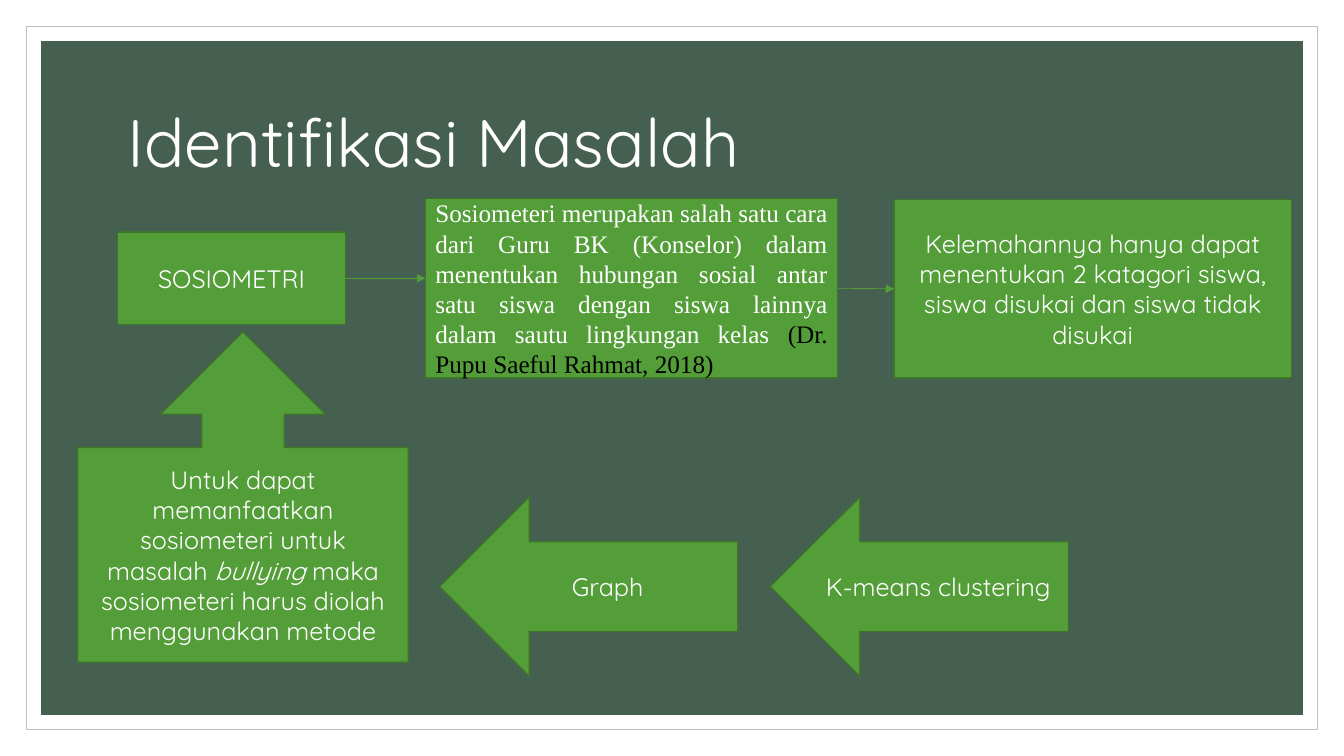
from lxml import etree
from pptx import Presentation
from pptx.dml.color import RGBColor
from pptx.enum.shapes import MSO_CONNECTOR, MSO_SHAPE
from pptx.enum.text import MSO_ANCHOR, MSO_AUTO_SIZE, PP_ALIGN
from pptx.oxml.ns import qn
from pptx.util import Inches, Pt

RECTANGLE = MSO_SHAPE.RECTANGLE
PROCESS = MSO_SHAPE.FLOWCHART_PROCESS
LEFT_ARROW = MSO_SHAPE.LEFT_ARROW
UP_CALLOUT = MSO_SHAPE.UP_ARROW_CALLOUT
STRAIGHT = MSO_CONNECTOR.STRAIGHT
LEFT, CENTER, JUSTIFY = PP_ALIGN.LEFT, PP_ALIGN.CENTER, PP_ALIGN.JUSTIFY
MIDDLE = MSO_ANCHOR.MIDDLE
NO_AUTOFIT = MSO_AUTO_SIZE.NONE
LEFT_SIDE, RIGHT_SIDE = 1, 3

WHITE = RGBColor(0xFF, 0xFF, 0xFF)
BLACK = RGBColor(0x00, 0x00, 0x00)
GRAY = RGBColor(0xBF, 0xBF, 0xBF)
FOREST = RGBColor(0x45, 0x5F, 0x51)
GREEN = RGBColor(0x54, 0x9E, 0x39)
DARK_GREEN = RGBColor(0x3E, 0x75, 0x2A)

SANS, SERIF = "Quicksand", "Times New Roman"
SLIDE_WIDTH, SLIDE_HEIGHT = Inches(13.33), Inches(7.5)
COLUMNS, ROWS = 80, 45
ARROW_COLUMN, ARROW_STEP = 26.16, 19.68


def across(columns):
    """Turn grid columns into a length."""
    return round(SLIDE_WIDTH * columns / COLUMNS)


def down(rows):
    """Turn grid rows into a length."""
    return round(SLIDE_HEIGHT * rows / ROWS)


def place(area):
    """Turn a grid area (column, row, width, height) into lengths."""
    column, row, width, height = area
    return across(column), down(row), across(width), down(height)


def style_span(span, size, font=SANS, color=WHITE):
    """Set the font of one run."""
    span.font.size = Pt(size)
    span.font.name = font
    span.font.color.rgb = color


def add_box(page, kind, area, fill, line=None, line_width=1):
    """Add a flat preset shape."""
    box = page.shapes.add_shape(kind, *place(area))
    box.shadow.inherit = False
    box.fill.solid()
    box.fill.fore_color.rgb = fill
    if line is None:
        box.line.fill.background()
    else:
        box.line.color.rgb = line
        box.line.width = Pt(line_width)
    return box


def add_panel(page, margin, fill, line=None):
    """Add a background panel with an equal margin on all sides."""
    area = (margin, margin, COLUMNS - 2 * margin, ROWS - 2 * margin)
    add_box(page, RECTANGLE, area, fill, line, 0.5)


def add_step(page, kind, area, texts, font=SANS, align=CENTER):
    """Add a green step of the flow and return its box and runs."""
    box = add_box(page, kind, area, GREEN, DARK_GREEN)
    box.text_frame.word_wrap = True
    box.text_frame.vertical_anchor = MIDDLE
    para = box.text_frame.paragraphs[0]
    para.alignment = align
    spans = []
    for text in texts:
        span = para.add_run()
        span.text = text
        style_span(span, 18, font)
        spans.append(span)
    return box, spans


def add_arrow(page, start, end):
    """Add a thin arrow from one (column, row) point to another."""
    arrow = page.shapes.add_connector(
        STRAIGHT, across(start[0]), down(start[1]), across(end[0]), down(end[1]))
    arrow.line.color.rgb = GREEN
    arrow.line.width = Pt(0.5)
    etree.SubElement(arrow.line._get_or_add_ln(), qn("a:tailEnd"), type="triangle")
    etree.SubElement(arrow._element.spPr, qn("a:effectLst"))
    return arrow


def format_title(page, text):
    """Fill the title placeholder and bring it above the panels."""
    title = page.shapes.title
    title.left, title.top, title.width, title.height = place((7, 4.2, 66, 9))
    frame = title.text_frame
    frame.text = text
    frame.auto_size = NO_AUTOFIT
    frame.vertical_anchor = MIDDLE
    para = frame.paragraphs[0]
    para.alignment = LEFT
    para.line_spacing = 0.9
    style_span(para.runs[0], 48)
    title.element.getparent().append(title.element)


def main():
    """Build the slide and save it."""
    deck = Presentation()
    deck.slide_width, deck.slide_height = SLIDE_WIDTH, SLIDE_HEIGHT
    page = deck.slides.add_slide(deck.slide_layouts[5])

    add_panel(page, 1.56, WHITE, GRAY)
    add_panel(page, 2.45, FOREST)
    format_title(page, "Identifikasi Masalah")

    sociometry, _ = add_step(page, RECTANGLE, (7, 13.8, 13.56, 5.52), ["SOSIOMETRI"])
    definition, spans = add_step(
        page, PROCESS, (25.32, 11.82, 24.54, 10.68),
        ["Sosiometeri merupakan salah satu cara dari Guru BK (Konselor) dalam "
         "menentukan hubungan sosial antar satu siswa dengan siswa lainnya "
         "dalam sautu lingkungan kelas ",
         "(Dr. Pupu Saeful Rahmat, 2018)"],
        SERIF, JUSTIFY)
    spans[1].font.color.rgb = BLACK
    weakness, _ = add_step(
        page, RECTANGLE, (53.22, 11.88, 23.64, 10.62),
        ["Kelemahannya hanya dapat menentukan 2 katagori siswa, "
         "siswa disukai dan siswa tidak disukai"])

    arrow = add_arrow(page, (20.56, 16.56), (25.32, 16.56))
    arrow.begin_connect(sociometry, RIGHT_SIDE)
    arrow = add_arrow(page, (49.86, 17.16), (53.22, 17.16))
    arrow.begin_connect(definition, RIGHT_SIDE)
    arrow.end_connect(weakness, LEFT_SIDE)

    _, spans = add_step(
        page, UP_CALLOUT, (4.62, 19.74, 19.68, 19.68),
        ["Untuk dapat memanfaatkan sosiometeri untuk masalah ", "bullying ",
         "maka sosiometeri harus diolah menggunakan metode"])
    spans[1].font.italic = True
    for index, method in enumerate(["Graph ", "K-means clustering "]):
        column = ARROW_COLUMN + index * ARROW_STEP
        add_step(page, LEFT_ARROW, (column, 29.58, 17.76, 10.68), [method])

    deck.save("out.pptx")


if __name__ == "__main__":
    main()
